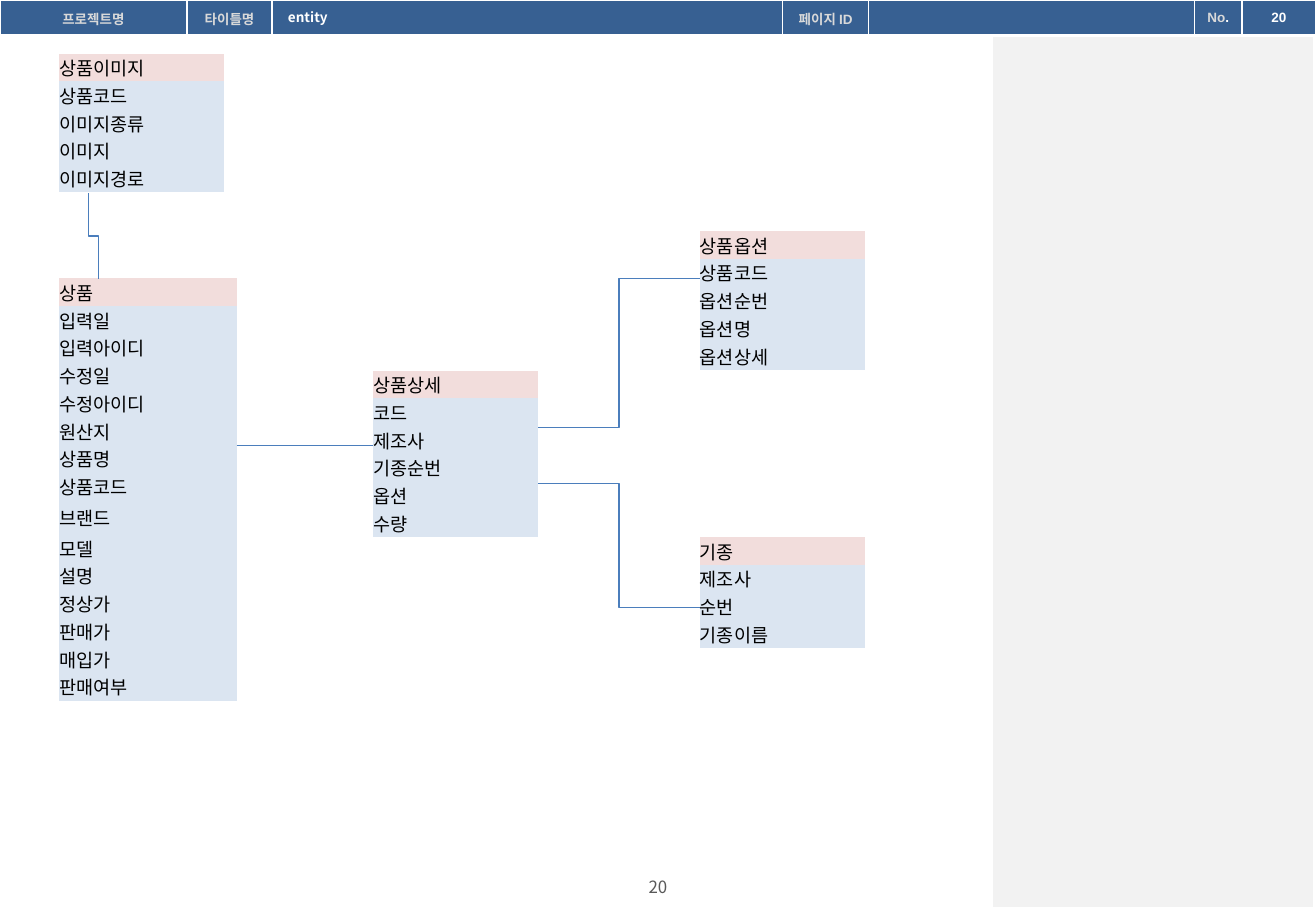
from lxml.etree import SubElement
from pptx import Presentation
from pptx.dml.color import RGBColor
from pptx.enum.shapes import MSO_CONNECTOR, MSO_SHAPE
from pptx.enum.text import MSO_ANCHOR, PP_ALIGN
from pptx.oxml.ns import qn
from pptx.util import Cm, Pt

COLORS = {
    "bar": "376092", "panel": "F2F2F2", "white": "FFFFFF", "label": "D9D9D9",
    "page": "595959", "black": "000000", "entity": "F2DDDC", "field": "DBE5F1",
    "relation": "4B7EBC",
}
KOREAN = "Noto Sans CJK KR"
HEADER_FORMAT = {"name": "Arial", "size": Pt(8), "bold": True}
TITLE_FORMAT = {"name": KOREAN, "size": Pt(8), "bold": True}
FIELD_FORMAT = {"name": KOREAN, "size": Pt(11), "bold": False}
PAGE_FORMAT = {"name": KOREAN, "size": Pt(10), "bold": False}
NO_STYLE = "{2D5ABB26-0587-4C30-8999-92F81FD0307C}"


def write(paragraph, text, font_format, color):
    run = paragraph.add_run()
    run.text = text
    for attribute, value in font_format.items():
        setattr(run.font, attribute, value)
    run.font.color.rgb = RGBColor.from_string(COLORS[color])
    SubElement(run.font._element, qn("a:ea")).set("typeface", KOREAN)


def add_plain_table(left, top, widths, heights):
    """Add a table without style, sized by its columns and rows in cm."""
    table = slide.shapes.add_table(
        len(heights), len(widths), Cm(left), Cm(top),
        Cm(sum(widths)), Cm(sum(heights))).table
    table.first_row = table.horz_banding = False
    table._tbl.tblPr.find(qn("a:tableStyleId")).text = NO_STYLE
    for column, width in zip(table.columns, widths):
        column.width = Cm(width)
    for row, height in zip(table.rows, heights):
        row.height = Cm(height)
    return table


presentation = Presentation()
presentation.slide_width = Cm(27.51)
presentation.slide_height = Cm(19.05)
slide = presentation.slides.add_slide(presentation.slide_layouts[6])

# Header bar
bar = slide.shapes.add_shape(MSO_SHAPE.RECTANGLE, 0, 0, Cm(27.51), Cm(0.79))
bar.shadow.inherit = False
bar.fill.solid()
bar.fill.fore_color.rgb = RGBColor.from_string(COLORS["bar"])
bar.line.fill.background()

header_labels = [
    [("프로젝트명", "label")], [("타이틀명", "label")], [],
    [("페이지 ID", "label")], [],
    [("No", "label"), (".", "white")], [("20", "white")],
]
header = add_plain_table(0, 0, [3.91, 1.78, 10.67, 1.8, 6.81, 0.99, 1.55], [0.76])
for cell, label in zip(header.rows[0].cells, header_labels):
    cell.vertical_anchor = MSO_ANCHOR.MIDDLE
    paragraph = cell.text_frame.paragraphs[0]
    paragraph.alignment = PP_ALIGN.CENTER
    for text, color in label:
        write(paragraph, text, HEADER_FORMAT, color)
    if not label:
        SubElement(paragraph._p, qn("a:endParaRPr")).set("sz", "800")
    for side, width in {"L": 1, "R": 1, "T": 1, "B": 3}.items():
        border = SubElement(cell._tc.get_or_add_tcPr(), qn(f"a:ln{side}"), w=str(Pt(width)))
        border_fill = SubElement(border, qn("a:solidFill"))
        SubElement(border_fill, qn("a:srgbClr")).set("val", COLORS["white"])
    cell.fill.background()

# Description panel
panel = slide.shapes.add_shape(
    MSO_SHAPE.RECTANGLE, Cm(20.73), Cm(0.74), Cm(6.76), Cm(18.26))
panel.shadow.inherit = False
panel.fill.solid()
panel.fill.fore_color.rgb = RGBColor.from_string(COLORS["panel"])
panel.line.color.rgb = RGBColor.from_string(COLORS["white"])
panel.line.width = Pt(2)

# Title and page number
captions = [
    ("entity", 5.77, 0, 10.59, 0.71, PP_ALIGN.LEFT, TITLE_FORMAT, "white"),
    ("20", 10.54, 18.03, 6.43, 1.02, PP_ALIGN.CENTER, PAGE_FORMAT, "page"),
]
for text, left, top, width, height, alignment, font_format, color in captions:
    caption = slide.shapes.add_textbox(Cm(left), Cm(top), Cm(width), Cm(height)).text_frame
    caption.word_wrap = True
    caption.vertical_anchor = MSO_ANCHOR.MIDDLE
    caption.paragraphs[0].alignment = alignment
    write(caption.paragraphs[0], text, font_format, color)

# Entities: left, top, width, then the name followed by the fields
entities = [
    (1.24, 5.82, 3.71, ["상품", "입력일", "입력아이디", "수정일", "수정아이디",
                        "원산지", "상품명", "상품코드", "브랜드", "모델", "설명",
                        "정상가", "판매가", "매입가", "판매여부"]),
    (14.63, 4.83, 3.45, ["상품옵션", "상품코드", "옵션순번", "옵션명", "옵션상세"]),
    (1.24, 1.12, 3.45, ["상품이미지", "상품코드", "이미지종류", "이미지", "이미지경로"]),
    (14.63, 11.23, 3.45, ["기종", "제조사", "순번", "기종이름"]),
    (7.8, 7.75, 3.45, ["상품상세", "코드", "제조사", "기종순번", "옵션", "수량"]),
]
for left, top, width, names in entities:
    heights = [0.71 if name == "브랜드" else 0.58 for name in names]
    entity = add_plain_table(left, top, [width], heights)
    for index, name in enumerate(names):
        cell = entity.cell(index, 0)
        cell.margin_left = cell.margin_right = cell.margin_top = cell.margin_bottom = 0
        cell.vertical_anchor = MSO_ANCHOR.MIDDLE
        cell.fill.solid()
        cell.fill.fore_color.rgb = RGBColor.from_string(
            COLORS["field" if index else "entity"])
        write(cell.text_frame.paragraphs[0], name, FIELD_FORMAT, "black")

# Relations: start, end and rotation in degrees
relations = [
    (11.25, 8.94, 14.63, 5.82, 0),
    (11.25, 10.11, 14.63, 12.7, 0),
    (2.85, 4.83, 1.07, 5.04, 270),
    (4.95, 9.32, 7.8, 9.32, 0),
]
for start_x, start_y, end_x, end_y, rotation in relations:
    relation = slide.shapes.add_connector(
        MSO_CONNECTOR.ELBOW, Cm(start_x), Cm(start_y), Cm(end_x), Cm(end_y))
    relation.line.color.rgb = RGBColor.from_string(COLORS["relation"])
    relation.line.width = Pt(0.75)
    properties = relation._element.spPr
    SubElement(properties, qn("a:effectLst"))
    if rotation:
        properties.find(qn("a:xfrm")).set("rot", str(rotation * 60000))

presentation.save("out.pptx")
